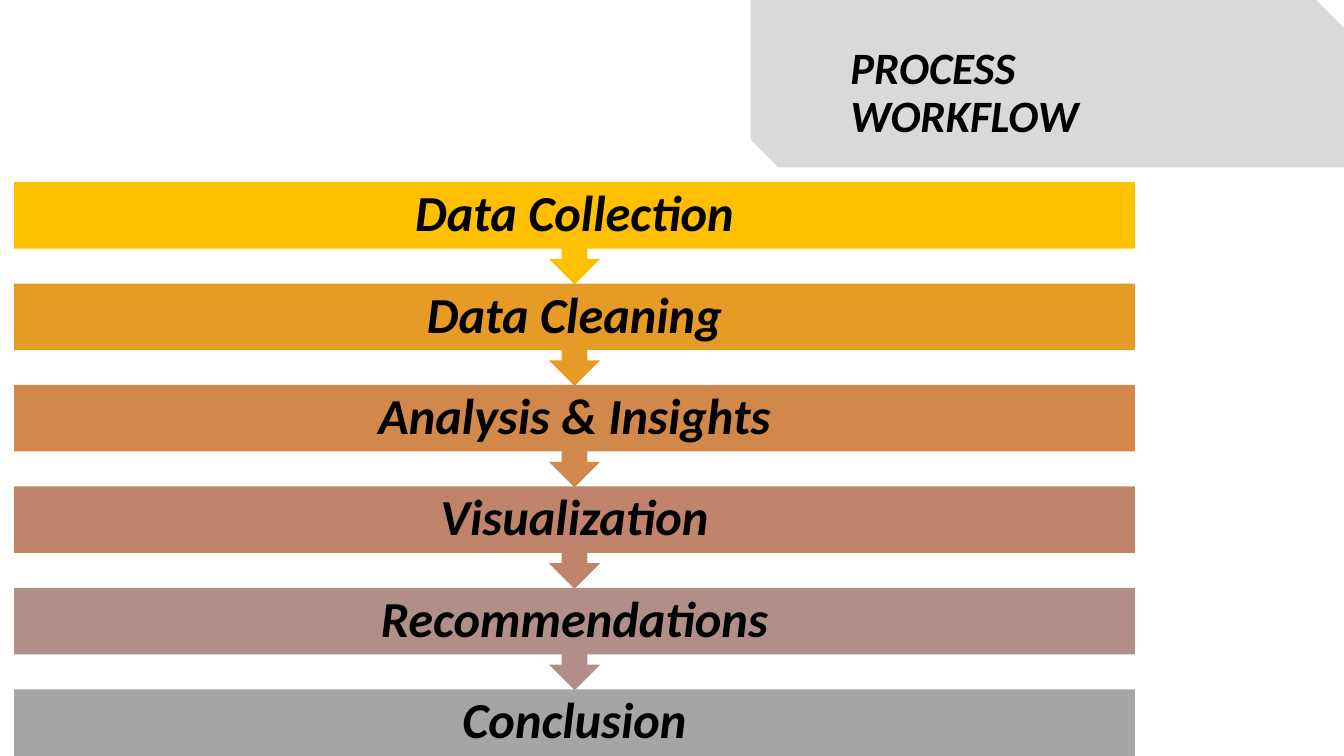
import pptx
import pptx.util
import pptx.dml.color
import pptx.enum.shapes
import pptx.enum.text
from pptx.util import Cm

TITLE = "PROCESS WORKFLOW"
STEPS = [
    ("Data Collection", "FFC000"),
    ("Data Cleaning", "E69B27"),
    ("Analysis & Insights", "D2884B"),
    ("Visualization", "C0836C"),
    ("Recommendations", "B18F88"),
    ("Conclusion", "A5A5A5"),
]
THEME = {
    "font": "Calibri",
    "text": "000000",
    "banner": "D9D9D9",
    "title_size": 32,
    "step_size": 36,
}

SLIDE_WIDTH, SLIDE_HEIGHT = 33.87, 19.05
STEP_LEFT, STEP_WIDTH = 0.36, 28.24
FIRST_TOP, LAST_TOP = 4.59, 17.37
BAR_HEIGHT, CALLOUT_HEIGHT = 1.68, 2.58

SHAPES = pptx.enum.shapes.MSO_SHAPE
ALIGN = pptx.enum.text.PP_ALIGN
ANCHOR = pptx.enum.text.MSO_ANCHOR


def colour(name):
    return pptx.dml.color.RGBColor.from_string(name)


def add_block(page, kind, bounds, fill):
    block = page.shapes.add_shape(kind, *map(Cm, bounds))
    block.shadow.inherit = False
    block.fill.solid()
    block.fill.fore_color.rgb = colour(fill)
    block.line.fill.background()
    return block


def write(box, text, size, align, anchor):
    frame = box.text_frame
    frame.text = text
    frame.word_wrap = True
    frame.vertical_anchor = anchor
    para = frame.paragraphs[0]
    para.alignment = align
    para.line_spacing = 0.9
    font = para.runs[0].font
    font.name = THEME["font"]
    font.size = pptx.util.Pt(size)
    font.bold = font.italic = True
    font.color.rgb = colour(THEME["text"])


def add_step(page, index, text, fill):
    last = len(STEPS) - 1
    top = FIRST_TOP + index * (LAST_TOP - FIRST_TOP) / last
    kind, height = SHAPES.DOWN_ARROW_CALLOUT, CALLOUT_HEIGHT
    if index == last:
        kind, height = SHAPES.RECTANGLE, BAR_HEIGHT
    step = add_block(page, kind, (STEP_LEFT, top, STEP_WIDTH, height), fill)
    write(step, text, THEME["step_size"], ALIGN.CENTER, ANCHOR.MIDDLE)
    step.text_frame.margin_top = step.text_frame.margin_bottom = 0


def main():
    deck = pptx.Presentation()
    deck.slide_width, deck.slide_height = Cm(SLIDE_WIDTH), Cm(SLIDE_HEIGHT)
    page = deck.slides.add_slide(deck.slide_layouts[6])

    banner_bounds = (18.92, 0, 14.95, 4.22)
    add_block(page, SHAPES.SNIP_2_DIAG_RECTANGLE, banner_bounds, THEME["banner"])
    title = page.shapes.add_textbox(Cm(21.18), Cm(1.02), Cm(10.5), Cm(2.16))
    write(title, TITLE, THEME["title_size"], ALIGN.LEFT, ANCHOR.TOP)

    for index, (text, fill) in enumerate(STEPS):
        add_step(page, index, text, fill)

    deck.save("out.pptx")


if __name__ == "__main__":
    main()
